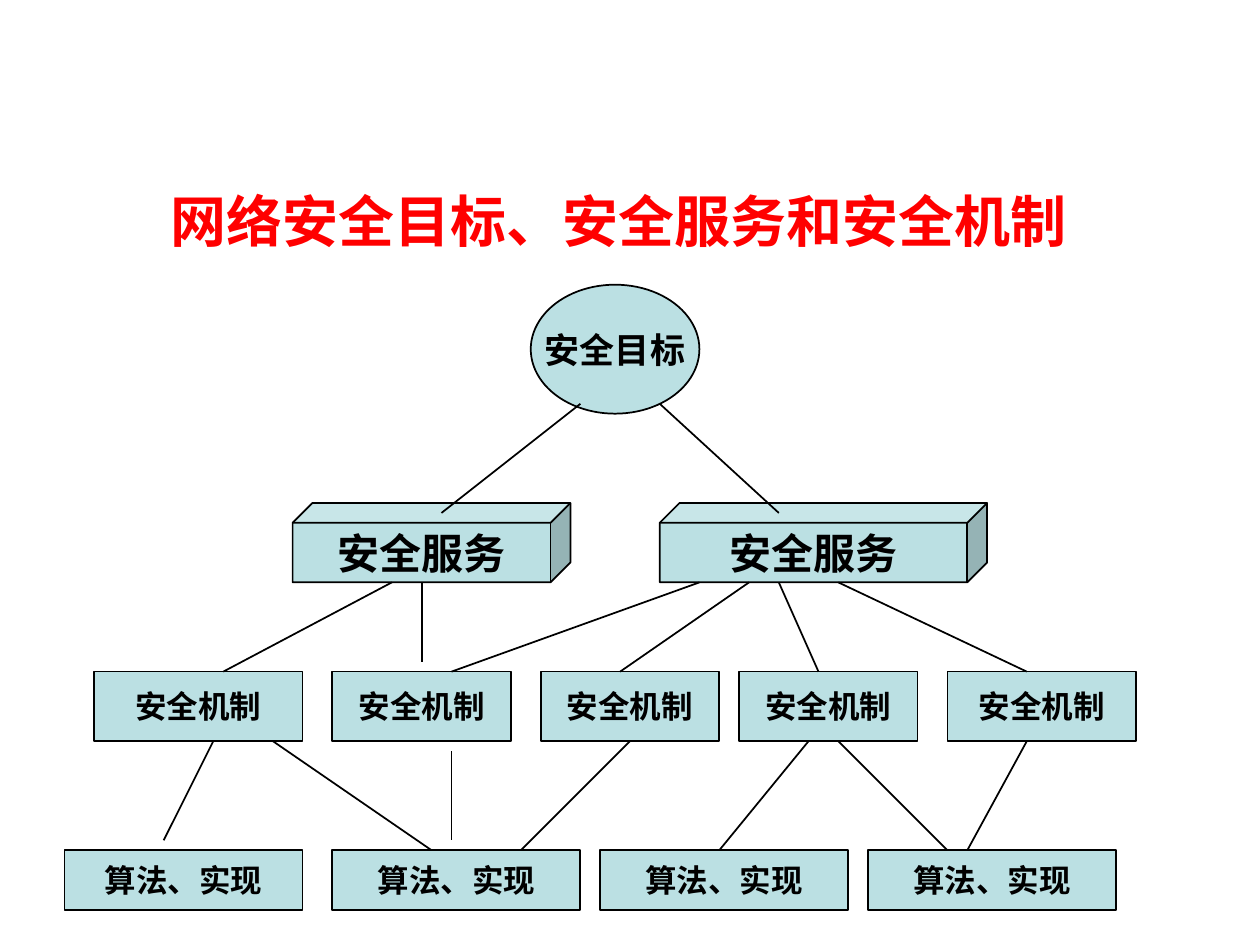
import pptx
import pptx.dml.color
import pptx.enum.shapes
import pptx.enum.text
import pptx.oxml.ns
import pptx.util
from lxml import etree

Cm = pptx.util.Cm
SHAPES = pptx.enum.shapes.MSO_SHAPE
INK = "000000"
NODE_FILL = "BBE0E3"
GOAL_FORMAT = {"size": pptx.util.Pt(20), "name": "Times New Roman", "bold": True}
SERVICE_FORMAT = {**GOAL_FORMAT, "size": pptx.util.Pt(24)}
DETAIL_FORMAT = {**GOAL_FORMAT, "size": pptx.util.Pt(18)}
TITLE_FORMAT = {"size": pptx.util.Pt(32), "name": "Arial", "bold": True}

TIERS = [
    ("安全目标", SHAPES.OVAL, 0, 2.6, GOAL_FORMAT, [(9.4, 3.4)]),
    ("安全服务", SHAPES.CUBE, 4.4, 1.6, SERVICE_FORMAT, [(4.6, 5.6), (12, 6.6)]),
    ("安全机制", SHAPES.RECTANGLE, 7.8, 1.4, DETAIL_FORMAT,
     [(0.6, 4.2), (5.4, 3.6), (9.6, 3.6), (13.6, 3.6), (17.8, 3.8)]),
    ("算法、实现", SHAPES.RECTANGLE, 11.4, 1.2, DETAIL_FORMAT,
     [(0, 4.8), (5.4, 5), (10.8, 5), (16.2, 5)]),
]

LINKS = [
    (2.4, 4.6, [(10.4, 7.6), (12, 14.4)]),
    (6, 7.8, [(6.6, 3.2), (13.8, 11.2), (12.8, 7.8), (14.4, 15.2), (15.6, 19.4)]),
    (6, 7.6, [(7.2, 7.2)]),
    (9.2, 11.2, [(3, 2)]),
    (9.2, 11.4, [(4.2, 7.4), (11.4, 9.2), (15, 13.2), (15.6, 17.8), (19.4, 18.2)]),
    (9.4, 11.2, [(7.8, 7.8)]),
]


def colour(value):
    """Return the RGB colour for a hex string."""
    return pptx.dml.color.RGBColor.from_string(value)


def write(frame, wording, text_format, ink, wrap):
    """Put one centred line of formatted text in a frame."""
    frame.word_wrap = wrap
    frame.vertical_anchor = pptx.enum.text.MSO_ANCHOR.MIDDLE
    line = frame.paragraphs[0]
    line.alignment = pptx.enum.text.PP_ALIGN.CENTER
    words = line.add_run()
    words.text = wording
    for attribute, value in text_format.items():
        setattr(words.font, attribute, value)
    words.font.color.rgb = colour(ink)


def outline(line):
    """Give a shape or link the thin black stroke."""
    line.color.rgb = colour(INK)
    line.width = pptx.util.Pt(1)


def add_title(slide, left, top, width, height):
    """Place the heading in the given box."""
    heading = slide.shapes.add_textbox(Cm(left), Cm(top), Cm(width), Cm(height))
    write(heading.text_frame, "网络安全目标、安全服务和安全机制", TITLE_FORMAT, "FF0000", True)


def add_node(slide, kind, left, top, width, height, wording, text_format):
    """Draw one labelled node of the hierarchy."""
    node = slide.shapes.add_shape(kind, Cm(left), Cm(top), Cm(width), Cm(height))
    node.shadow.inherit = False
    node.fill.solid()
    node.fill.fore_color.rgb = colour(NODE_FILL)
    outline(node.line)
    write(node.text_frame, wording, text_format, INK, False)


def add_link(slide, start_x, start_y, end_x, end_y):
    """Draw one straight link between tiers."""
    link = slide.shapes.add_connector(
        pptx.enum.shapes.MSO_CONNECTOR.STRAIGHT,
        Cm(start_x), Cm(start_y), Cm(end_x), Cm(end_y))
    outline(link.line)
    etree.SubElement(link._element.spPr, pptx.oxml.ns.qn("a:effectLst"))


def add_hierarchy(slide, left, top):
    """Draw the tiers and their links from the given corner."""
    for wording, kind, tier_top, height, text_format, spans in TIERS:
        for node_left, width in spans:
            add_node(slide, kind, left + node_left, top + tier_top,
                     width, height, wording, text_format)
    for start_y, end_y, pairs in LINKS:
        for start_x, end_x in pairs:
            add_link(slide, left + start_x, top + start_y, left + end_x, top + end_y)


def main():
    """Build and save the slide."""
    deck = pptx.Presentation()
    deck.slide_width, deck.slide_height = Cm(25.4), Cm(19.05)
    slide = deck.slides.add_slide(deck.slide_layouts[6])
    add_hierarchy(slide, 1.3, 5.74)
    add_title(slide, 1.04, 3.33, 22.86, 2.21)
    deck.save("out.pptx")


if __name__ == "__main__":
    main()
